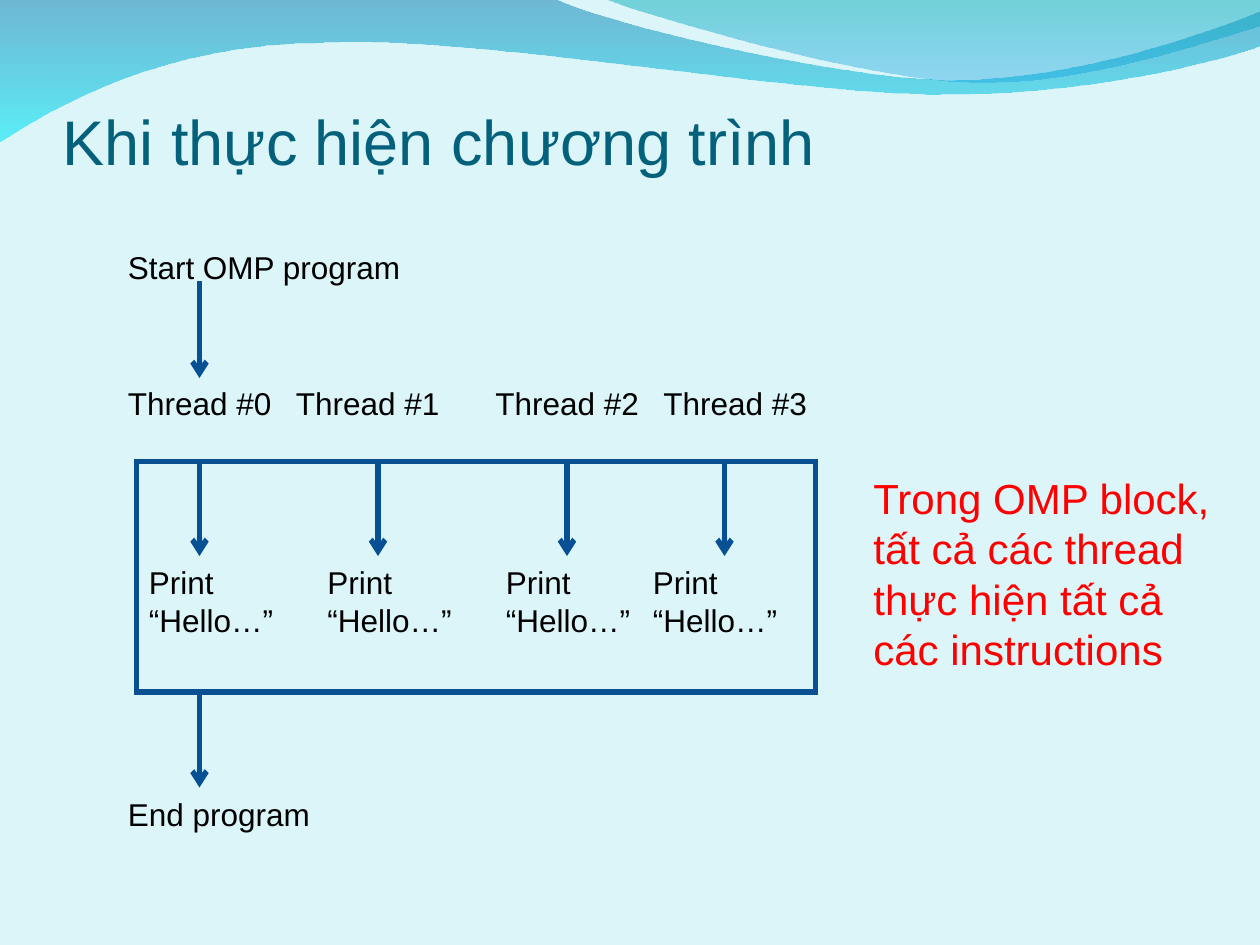
from lxml.etree import SubElement
from pptx import Presentation
from pptx.dml.color import RGBColor
from pptx.enum.shapes import MSO_CONNECTOR, MSO_SHAPE
from pptx.enum.text import MSO_ANCHOR, MSO_AUTO_SIZE
from pptx.oxml.ns import qn
from pptx.util import Pt

BACKGROUND = "DBF5F9"
TITLE_COLOR = "04617B"
FRAME_COLOR = "085091"
ARROW_COLOR = "065093"
ARROW_LENGTH = 54

LOWER_WAVE = [
    [(0, -0.75)],
    [(316.8, -0.75)],
    [(342.7, 12.2), (478.1, 45.4), (545.8, 45.4)],
    [(614.2, 45.4), (689.8, 18.7), (720, 6.5)],
    [(720.7, 25.9)],
    [(707.8, 31.7), (626.4, 54.7), (537.1, 54)],
    [(447.8, 54), (275, 20.2), (185, 24.5)],
    [(92.9, 25.2), (33.1, 59.8), (-0.75, 81.4)],
]
UPPER_WAVE = [
    [(345, -0.75)],
    [(366.5, 7.9), (491, 44.6), (553.7, 46.8)],
    [(616.3, 49.7), (691.9, 23), (720, 15.1)],
    [(720, 0)],
]


def color(value):
    """Turn a hex string into a colour."""
    return RGBColor.from_string(value)


def bend(shape, segments):
    """Turn each run of three control points into one cubic curve."""
    outline = next(shape._element.iter(qn("a:path")))
    lines = iter(outline.findall(qn("a:lnTo")))
    for segment in segments[1:]:
        steps = [next(lines) for _ in segment]
        if len(steps) == 3:
            curve = SubElement(outline, qn("a:cubicBezTo"))
            steps[0].addprevious(curve)
            for step in steps:
                curve.append(step[0])
                outline.remove(step)


def add_wave(page, left, top, segments, stops):
    """Add a translucent wave shaded from top to bottom."""
    points = [(Pt(left + x), Pt(top + y)) for segment in segments for x, y in segment]
    builder = page.shapes.build_freeform(*points[0])
    builder.add_line_segments(points[1:], close=True)
    wave = builder.convert_to_shape()
    bend(wave, segments)
    wave.shadow.inherit = False
    wave.line.fill.background()
    wave.fill.gradient()
    wave.fill.gradient_angle = 270
    for stop, (value, _) in zip(wave.fill.gradient_stops, stops):
        stop.color.rgb = color(value)
    tints = wave._element.spPr.iter(qn("a:srgbClr"))
    for tint, (_, opacity) in zip(tints, stops):
        SubElement(tint, qn("a:alpha")).set("val", str(opacity * 1000))


def add_text(page, left, top, width, height, text, size=18, value="000000"):
    """Add a wrapping text box and return its frame."""
    box = page.shapes.add_textbox(Pt(left), Pt(top), Pt(width), Pt(height))
    frame = box.text_frame
    frame.word_wrap = True
    frame.auto_size = MSO_AUTO_SIZE.SHAPE_TO_FIT_TEXT
    span = frame.paragraphs[0].add_run()
    span.text = text
    span.font.name = "Arial"
    span.font.size = Pt(size)
    span.font.color.rgb = color(value)
    return frame


def add_arrow(page, x, top):
    """Add a downward arrow with a square start."""
    arrow = page.shapes.add_connector(
        MSO_CONNECTOR.STRAIGHT, Pt(x), Pt(top), Pt(x), Pt(top + ARROW_LENGTH))
    arrow.line.color.rgb = color(ARROW_COLOR)
    arrow.line.width = Pt(3)
    outline = arrow.line._get_or_add_ln()
    outline.set("cap", "sq")
    SubElement(outline, qn("a:tailEnd")).set("type", "arrow")
    SubElement(arrow._element.spPr, qn("a:effectLst"))


def add_waves(page, left, top):
    """Place the two waves of the header."""
    add_wave(page, left, top, LOWER_WAVE, [("0079AF", 49), ("00EBF8", 59)])
    add_wave(page, left, top, UPPER_WAVE, [("00ADB6", 49), ("009BE5", 34)])


def add_title(page, left, top, width, height, text):
    """Place the title at the bottom of its box."""
    frame = add_text(page, left, top, width, height, text, 36, TITLE_COLOR)
    frame.auto_size = MSO_AUTO_SIZE.NONE
    frame.vertical_anchor = MSO_ANCHOR.BOTTOM
    frame.margin_left = frame.margin_right = frame.margin_bottom = 0


def add_parallel_block(page, left, top, width, height):
    """Place the frame in which every thread prints."""
    frame = page.shapes.add_shape(
        MSO_SHAPE.RECTANGLE, Pt(left), Pt(top), Pt(width), Pt(height))
    frame.shadow.inherit = False
    frame.fill.background()
    frame.line.color.rgb = color(FRAME_COLOR)
    frame.line.width = Pt(3)
    SubElement(frame.line._get_or_add_ln(), qn("a:miter")).set("lim", "800000")
    for arrow_x, print_x in ((36, 0), (138, 102), (246, 204), (336, 288)):
        add_arrow(page, left + arrow_x, top)
        add_text(page, left + print_x, top + 54.5, 94, 50.5, "Print “Hello…”")


def add_thread_flow(page, left, top):
    """Place the program flow from start to end."""
    add_text(page, left, top, 188, 29, "Start OMP program")
    add_arrow(page, left + 48, top + 24)
    for number, offset in enumerate((0, 96, 210, 306)):
        add_text(page, left + offset, top + 78, 112, 29, f"Thread #{number}")
    add_parallel_block(page, left + 12, top + 125.75, 388, 131.75)
    add_arrow(page, left + 48, top + 258)
    add_text(page, left, top + 312.5, 138, 29, "End program")


def main():
    """Build and save the slide."""
    deck = Presentation()
    deck.slide_width, deck.slide_height = Pt(720), Pt(540)
    page = deck.slides.add_slide(deck.slide_layouts[6])
    page.background.fill.solid()
    page.background.fill.fore_color.rgb = color(BACKGROUND)
    add_waves(page, 0, 0)
    add_title(page, 36, 48, 648, 54, "Khi thực hiện chương trình")
    add_thread_flow(page, 66, 138)
    add_text(page, 492, 266.5, 210, 122,
             "Trong OMP block, tất cả các thread thực hiện tất cả các instructions",
             24, "FF0000")
    deck.save("out.pptx")


if __name__ == "__main__":
    main()
